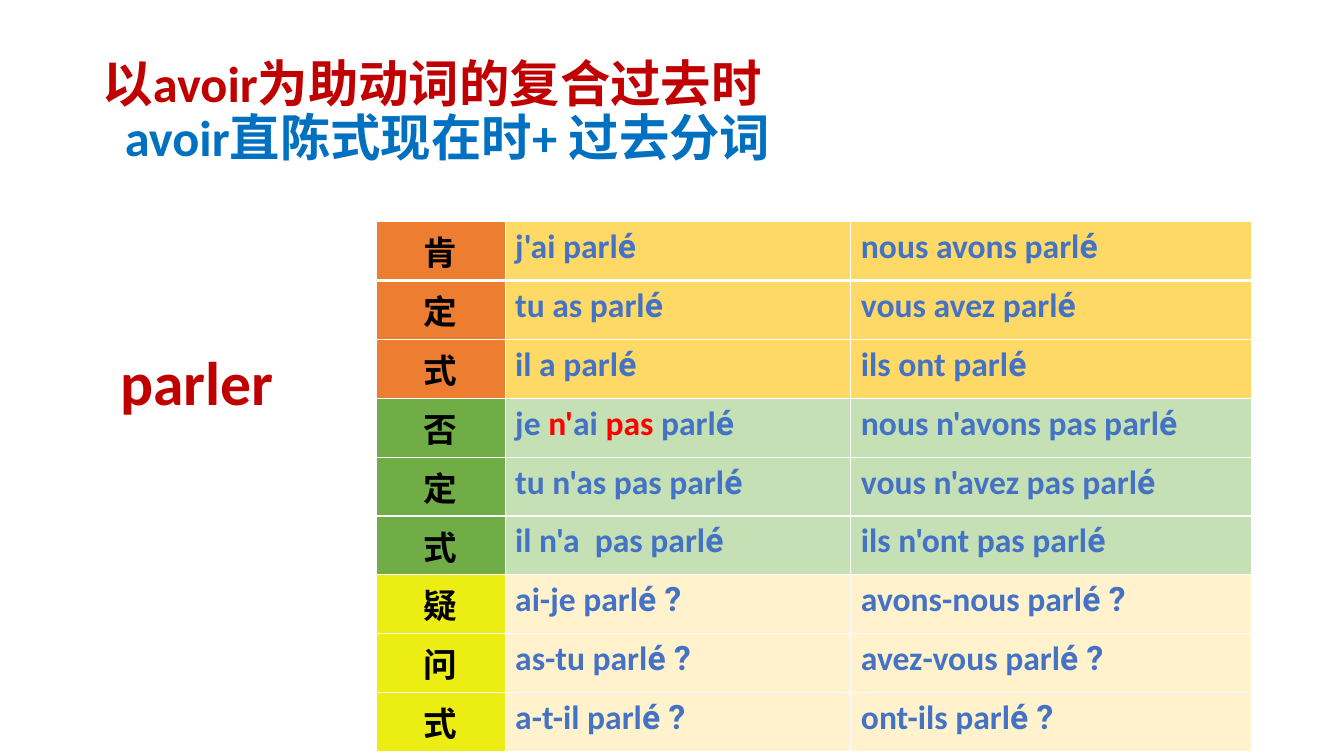
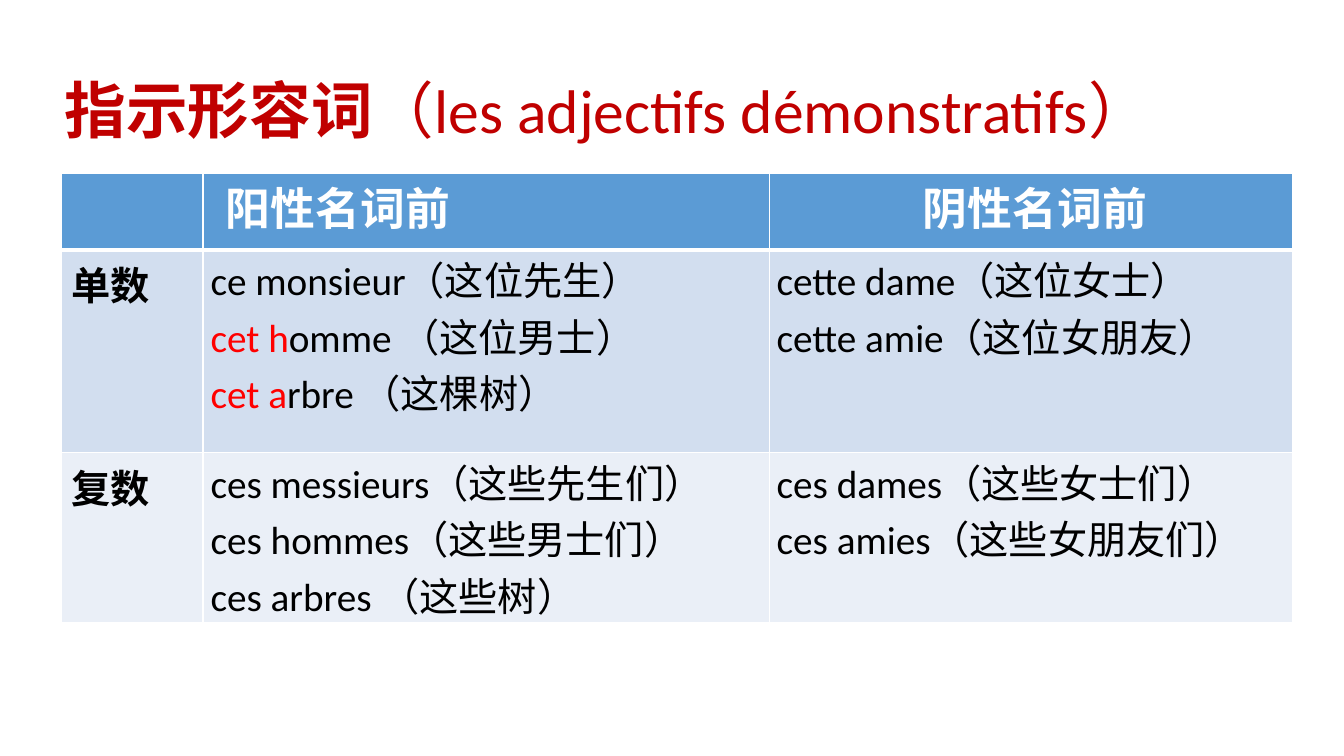
from dataclasses import dataclass
from typing import NamedTuple, Optional

from lxml import etree
from pptx import Presentation
from pptx.dml.color import RGBColor
from pptx.enum import text as txt
from pptx.oxml import ns
from pptx.util import Pt

WHITE = RGBColor(0xFF, 0xFF, 0xFF)
BLACK = RGBColor(0x00, 0x00, 0x00)
CRIMSON = RGBColor(0xC0, 0x00, 0x00)
RED = RGBColor(0xFF, 0x00, 0x00)
FORMULA_BLUE = RGBColor(0x00, 0x70, 0xC0)
VERB_BLUE = RGBColor(0x44, 0x72, 0xC4)
ORANGE = RGBColor(0xED, 0x7D, 0x31)
GOLD = RGBColor(0xFF, 0xD9, 0x66)
GREEN = RGBColor(0x70, 0xAD, 0x47)
PALE_GREEN = RGBColor(0xC5, 0xE0, 0xB4)
YELLOW = RGBColor(0xEB, 0xED, 0x13)
CREAM = RGBColor(0xFF, 0xF2, 0xCC)
HEADER_BLUE = RGBColor(0x5B, 0x9B, 0xD5)
SINGULAR_BLUE = RGBColor(0xD2, 0xDE, 0xEF)
PLURAL_BLUE = RGBColor(0xEA, 0xEF, 0xF7)

BODY_FONT, ACCENT_FONT = "Calibri", "Roboto"
LEFT, CENTER = txt.PP_ALIGN.LEFT, txt.PP_ALIGN.CENTER


class Box(NamedTuple):
    left: float
    top: float
    width: float
    height: float


class Run(NamedTuple):
    text: str
    color: Optional[RGBColor] = None
    font: Optional[str] = None
    bold: Optional[bool] = None


@dataclass
class Line:
    runs: list[Run]
    size: float
    color: RGBColor
    bold: bool = True
    align: txt.PP_ALIGN = LEFT
    margin: float = 0
    indent: float = 0
    tab: Optional[float] = None
    spacing: Optional[float] = None


@dataclass
class Cell:
    lines: list[Line]
    fill: RGBColor
    inset: tuple[float, float] = (7.2, 3.6)


class Form(NamedTuple):
    label: str
    label_fill: RGBColor
    fill: RGBColor
    phrases: list[tuple[str, str]]


FORMS = [
    Form("肯定式", ORANGE, GOLD, [
        ("j'ai parlé", "nous avons parlé"),
        ("tu as parlé", "vous avez parlé"),
        ("il a parlé", "ils ont parlé")]),
    Form("否定式", GREEN, PALE_GREEN, [
        ("je [n']ai [pas ]parlé", "nous n'avons pas parlé"),
        ("tu n'as pas parlé", "vous n'avez pas parlé"),
        ("il n'a  pas parlé", "ils n'ont pas parlé")]),
    Form("疑问式", YELLOW, CREAM, [
        ("ai-je parlé ?", "avons-nous parlé ?"),
        ("as-tu parlé ?", "avez-vous parlé ?"),
        ("a-t-il parlé ?", "ont-ils parlé ?")]),
]

NUMBERS = [
    ("单数", SINGULAR_BLUE,
     ["ce monsieur（这位先生）", "[cet h]omme （这位男士）", "[cet a]rbre\t（这棵树）"],
     ["cette dame（这位女士）", "cette amie（这位女朋友）"]),
    ("复数", PLURAL_BLUE,
     ["ces messieurs（这些先生们）", "ces hommes（这些男士们）", "ces arbres （这些树）"],
     ["ces dames（这些女士们）", "ces amies（这些女朋友们）"]),
]


def marked_runs(phrase: str) -> list[Run]:
    """Split a phrase into runs, with bracketed parts in red."""
    parts = phrase.replace("[", "]").split("]")
    return [Run(part, RED if i % 2 else None) for i, part in enumerate(parts) if part]


def accented_runs(phrase: str) -> list[Run]:
    """Give the closing participle accent of a phrase its own font."""
    *before, last = marked_runs(phrase)
    stem, accent, mark = last.text.partition("é")
    return [*before, Run(stem), Run(accent + mark, font=ACCENT_FONT)]


def write(frame, lines: list[Line]) -> None:
    """Write the lines as paragraphs of a text frame."""
    for i, line in enumerate(lines):
        paragraph = frame.paragraphs[0] if i == 0 else frame.add_paragraph()
        props = paragraph._p.get_or_add_pPr()
        props.set("marL", str(Pt(line.margin)))
        props.set("indent", str(Pt(line.indent)))
        if line.tab is not None:
            tabs = etree.SubElement(props, ns.qn("a:tabLst"))
            etree.SubElement(tabs, ns.qn("a:tab"), pos=str(Pt(line.tab)), algn="l")
        paragraph.alignment = line.align
        paragraph.space_before = Pt(0)
        if line.spacing:
            paragraph.line_spacing = line.spacing
        font = paragraph.font
        font.name, font.size, font.bold = BODY_FONT, Pt(line.size), line.bold
        font.color.rgb = line.color
        for part in line.runs:
            run = paragraph.add_run()
            run.text = part.text
            if part.color is not None:
                run.font.color.rgb = part.color
            if part.font is not None:
                run.font.name = part.font
            if part.bold is not None:
                run.font.bold = part.bold


def add_titled_slide(prs, box: Box, lines: list[Line]):
    """Add a slide with its title placed and written."""
    slide = prs.slides.add_slide(prs.slide_layouts[5])
    title = slide.shapes.title
    title.left, title.top, title.width, title.height = map(Pt, box)
    frame = title.text_frame
    frame.word_wrap = True
    frame.auto_size = txt.MSO_AUTO_SIZE.NONE
    frame.vertical_anchor = txt.MSO_ANCHOR.MIDDLE
    write(frame, lines)
    return slide


def set_borders(cell, top: float, bottom: float) -> None:
    """Draw white lines around a table cell."""
    props = cell._tc.get_or_add_tcPr()
    for side, width in (("L", 1), ("R", 1), ("T", top), ("B", bottom)):
        edge = etree.SubElement(props, ns.qn(f"a:ln{side}"), w=str(Pt(width)))
        fill = etree.SubElement(edge, ns.qn("a:solidFill"))
        etree.SubElement(fill, ns.qn("a:srgbClr"), val=str(WHITE))


def add_grid(slide, left: float, top: float, widths: list[float],
             heights: list[float], rows: list[list[Cell]]) -> None:
    """Add a table whose first row is closed by a thick line."""
    table = slide.shapes.add_table(len(heights), len(widths), Pt(left), Pt(top),
                                   Pt(sum(widths)), Pt(sum(heights))).table
    table.first_row = table.horz_banding = False
    for column, width in zip(table.columns, widths):
        column.width = Pt(width)
    for r, (row, height) in enumerate(zip(rows, heights)):
        table.rows[r].height = Pt(height)
        for c, content in enumerate(row):
            cell = table.cell(r, c)
            set_borders(cell, 3 if r == 1 else 1, 3 if r == 0 else 1)
            cell.fill.solid()
            cell.fill.fore_color.rgb = content.fill
            cell.margin_left = cell.margin_right = Pt(content.inset[0])
            cell.margin_top = cell.margin_bottom = Pt(content.inset[1])
            write(cell.text_frame, content.lines)


def build_past_tense(prs) -> None:
    """Build the slide on the compound past with avoir."""
    slide = add_titled_slide(prs, Box(66, 28.8, 828, 104.4), [
        Line([Run("以avoir为助动词的复合过去时")], 36, CRIMSON, spacing=0.9),
        Line([Run("avoir直陈式现在时+ 过去分词")], 36, FORMULA_BLUE, margin=16, spacing=0.9),
    ])
    rows = [
        [Cell([Line([Run(sign)], 24, BLACK, align=CENTER)], form.label_fill)]
        + [Cell([Line(accented_runs(phrase), 24, VERB_BLUE)], form.fill) for phrase in pair]
        for form in FORMS for sign, pair in zip(form.label, form.phrases)
    ]
    add_grid(slide, 268.8, 158.4, [92, 247, 286.4], [42] * len(rows), rows)
    verb = slide.shapes.add_textbox(*map(Pt, Box(79, 248.4, 160, 176.4))).text_frame
    verb.word_wrap = True
    write(verb, [Line([Run("parler")], 44, CRIMSON, spacing=0.9)])


def build_demonstratives(prs) -> None:
    """Build the slide on demonstrative adjectives."""
    slide = add_titled_slide(prs, Box(39, 28.8, 946, 104.4), [
        Line([Run("指示形容词"), Run("（les adjectifs démonstratifs）", bold=False)],
             44, CRIMSON, spacing=0.9),
    ])
    inset = (5.4, 0)
    rows = [[
        Cell([], HEADER_BLUE),
        Cell([Line([Run("阳性名词前")], 32, WHITE, indent=11)], HEADER_BLUE, inset),
        Cell([Line([Run("阴性名词前")], 32, WHITE, align=CENTER, margin=6)], HEADER_BLUE, inset),
    ]]
    for number, fill, *genders in NUMBERS:
        rows.append([Cell([Line([Run(number)], 28, BLACK)], fill)] + [
            Cell([Line(marked_runs(phrase), 28, BLACK, bold=False,
                       tab=141 if "\t" in phrase else None) for phrase in phrases],
                 fill, inset)
            for phrases in genders
        ])
    add_grid(slide, 44, 124, [101, 404.4, 374], [54.6, 144.8, 120.4], rows)


def main() -> None:
    """Build and save the presentation."""
    prs = Presentation()
    prs.slide_width, prs.slide_height = Pt(960), Pt(540)
    build_past_tense(prs)
    build_demonstratives(prs)
    prs.save("out.pptx")


if __name__ == "__main__":
    main()
